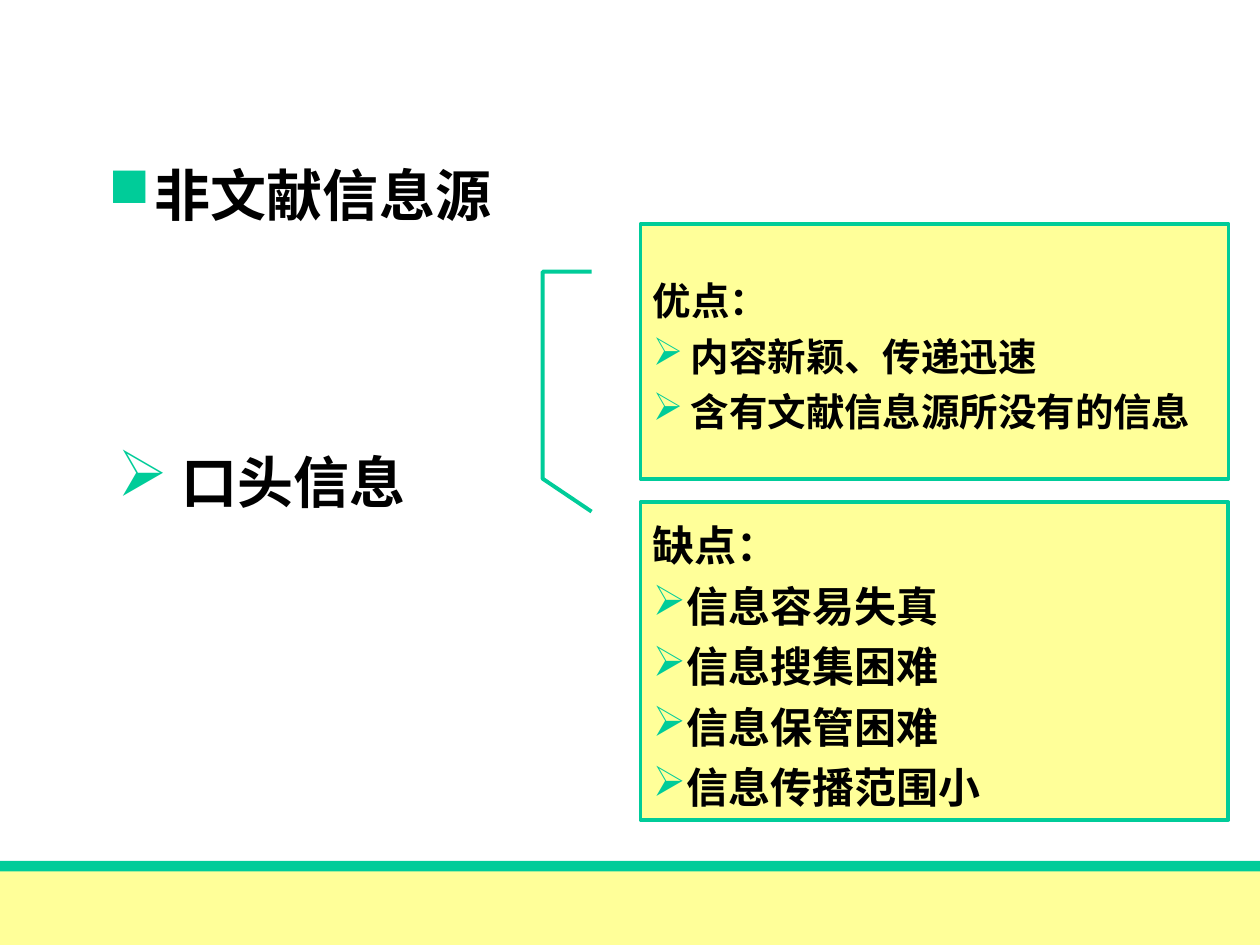
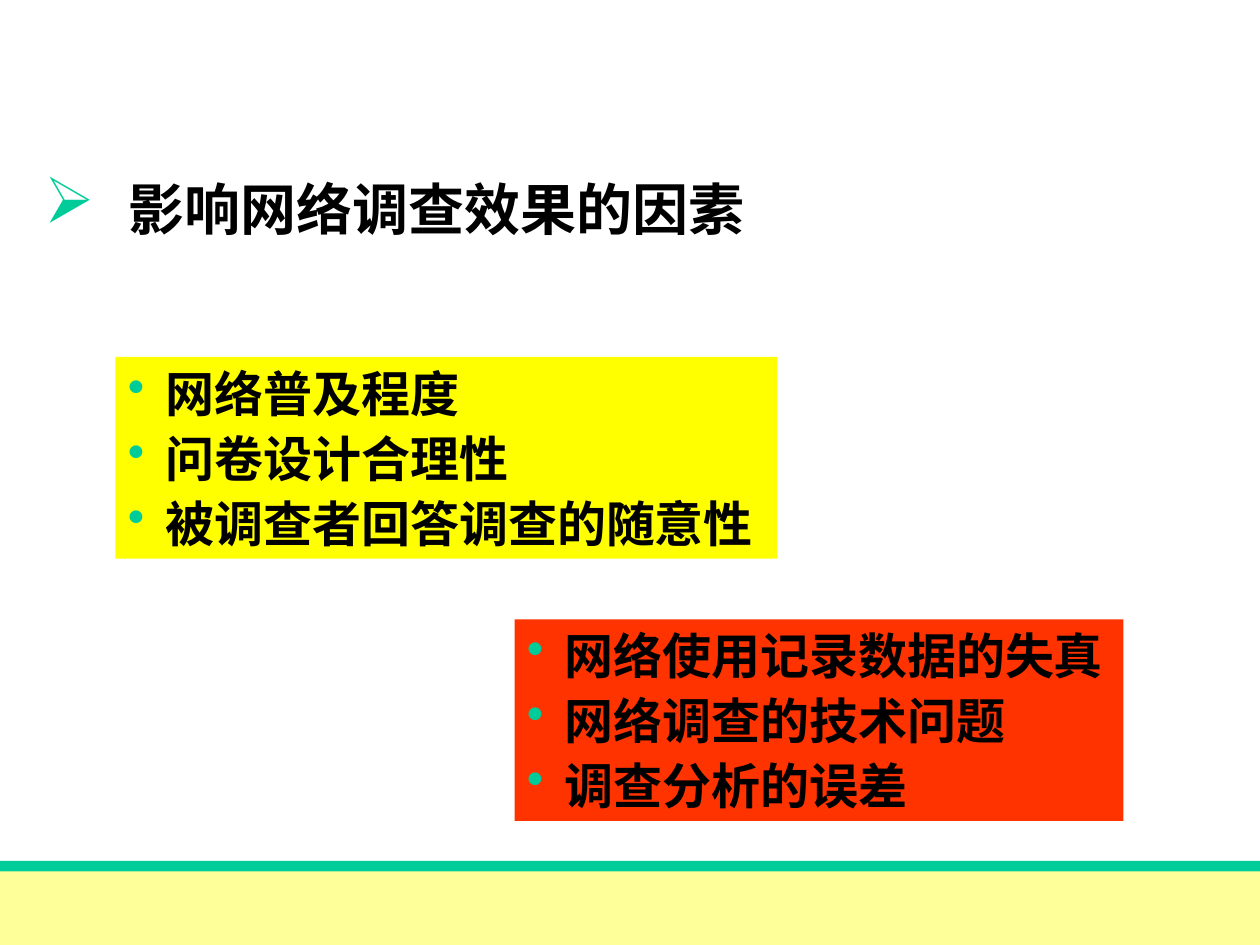
from lxml import etree
from pptx import Presentation
from pptx import util as u
from pptx.dml.color import RGBColor
from pptx.enum import shapes, text
from pptx.oxml import ns

COLORS = {"green": "00CC99", "cream": "FFFF99", "yellow": "FFFF00", "red": "FF3300", "ink": "000000"}
FONT = "Times New Roman"

presentation = Presentation()
presentation.slide_width = u.Inches(10)
presentation.slide_height = u.Inches(7.5)
COLUMN = presentation.slide_width / 120
ROW = presentation.slide_height / 90


def place(shape, left, top, width, height, fill=None, outlined=False):
    shape.left, shape.width = int(left * COLUMN), int(width * COLUMN)
    shape.top, shape.height = int(top * ROW), int(height * ROW)
    if fill:
        shape.shadow.inherit = False
        shape.fill.solid()
        shape.fill.fore_color.rgb = RGBColor.from_string(COLORS[fill])
        if outlined:
            shape.line.color.rgb = RGBColor.from_string(COLORS["green"])
            shape.line.width = u.Pt(2.25)
        else:
            shape.line.fill.background()
    return shape


def write(shape, lines, size, bullet, indent, lead=None, bullet_size=100, spacing=1, gap=0,
          anchor=text.MSO_ANCHOR.TOP):
    frame = shape.text_frame
    frame.word_wrap = True
    frame.auto_size = text.MSO_AUTO_SIZE.NONE
    frame.vertical_anchor = anchor
    entries = ([lead] if lead else []) + lines
    for index, entry in enumerate(entries):
        paragraph = frame.add_paragraph() if index else frame.paragraphs[0]
        paragraph.alignment = text.PP_ALIGN.LEFT
        paragraph.line_spacing = spacing
        paragraph.space_before = u.Pt(gap if index else 0)
        if entry != lead:
            properties = paragraph._p.get_or_add_pPr()
            properties.set("marL", str(u.Inches(indent)))
            properties.set("indent", str(-u.Inches(indent)))
            color = etree.SubElement(properties, ns.qn("a:buClr"))
            etree.SubElement(color, ns.qn("a:srgbClr"), val=COLORS["green"])
            etree.SubElement(properties, ns.qn("a:buSzPct"), val=str(bullet_size * 1000))
            etree.SubElement(properties, ns.qn("a:buChar"), char=bullet)
        run = paragraph.add_run()
        run.text = entry
        run.font.name = FONT
        run.font.size = u.Pt(size)
        run.font.bold = True
        run.font.color.rgb = RGBColor.from_string(COLORS["ink"])


headings = [
    ("非文献信息源", (9.12, 14.64, 39.72, 7.68), "■", 0.37, 100),
    ("影响网络调查效果的因素", (3, 16, 70, 9), "➢", 0.67, 115),
]
slides = []
for heading, area, bullet, indent, bullet_size in headings:
    slide = presentation.slides.add_slide(presentation.slide_layouts[5])
    for height, fill in ((8, "cream"), (1, "green")):
        band = slide.shapes.add_shape(shapes.MSO_SHAPE.RECTANGLE, 0, 0, 0, 0)
        place(band, 0, 82, 120, height, fill)
    title = place(slide.shapes.title, *area)
    write(title, [heading], 32, bullet, indent, bullet_size=bullet_size)
    slides.append(slide)

oral_slide, survey_slide = slides

topic = place(oral_slide.shapes.add_textbox(0, 0, 0, 0), 10, 42, 36, 11)
write(topic, ["口头信息"], 32, "➢", 0.51, bullet_size=115)

assessments = [
    (shapes.MSO_SHAPE.LINE_CALLOUT_3, 21.33, 24.25, 22, 0.3, "优点：",
     ["内容新颖、传递迅速", "含有文献信息源所没有的信息"]),
    (shapes.MSO_SHAPE.RECTANGLE, 47.83, 30.25, 24, 0.27, "缺点：",
     ["信息容易失真", "信息搜集困难", "信息保管困难", "信息传播范围小"]),
]
for kind, top, height, size, indent, lead, points in assessments:
    box = place(oral_slide.shapes.add_shape(kind, 0, 0, 0, 0), 61, top, 56, height, "cream", True)
    write(box, points, size, "➢", indent, lead, spacing=1.2, anchor=text.MSO_ANCHOR.MIDDLE)

factor_groups = [
    (11, 34, 63, "yellow", ["网络普及程度", "问卷设计合理性", "被调查者回答调查的随意性"]),
    (49, 59, 58, "red", ["网络使用记录数据的失真", "网络调查的技术问题", "调查分析的误差"]),
]
for left, top, width, fill, factors in factor_groups:
    box = survey_slide.shapes.add_shape(shapes.MSO_SHAPE.RECTANGLE, 0, 0, 0, 0)
    place(box, left, top, width, 19.2, fill)
    write(box, factors, 28, "•", 0.3, gap=3.5)

presentation.save("out.pptx")
